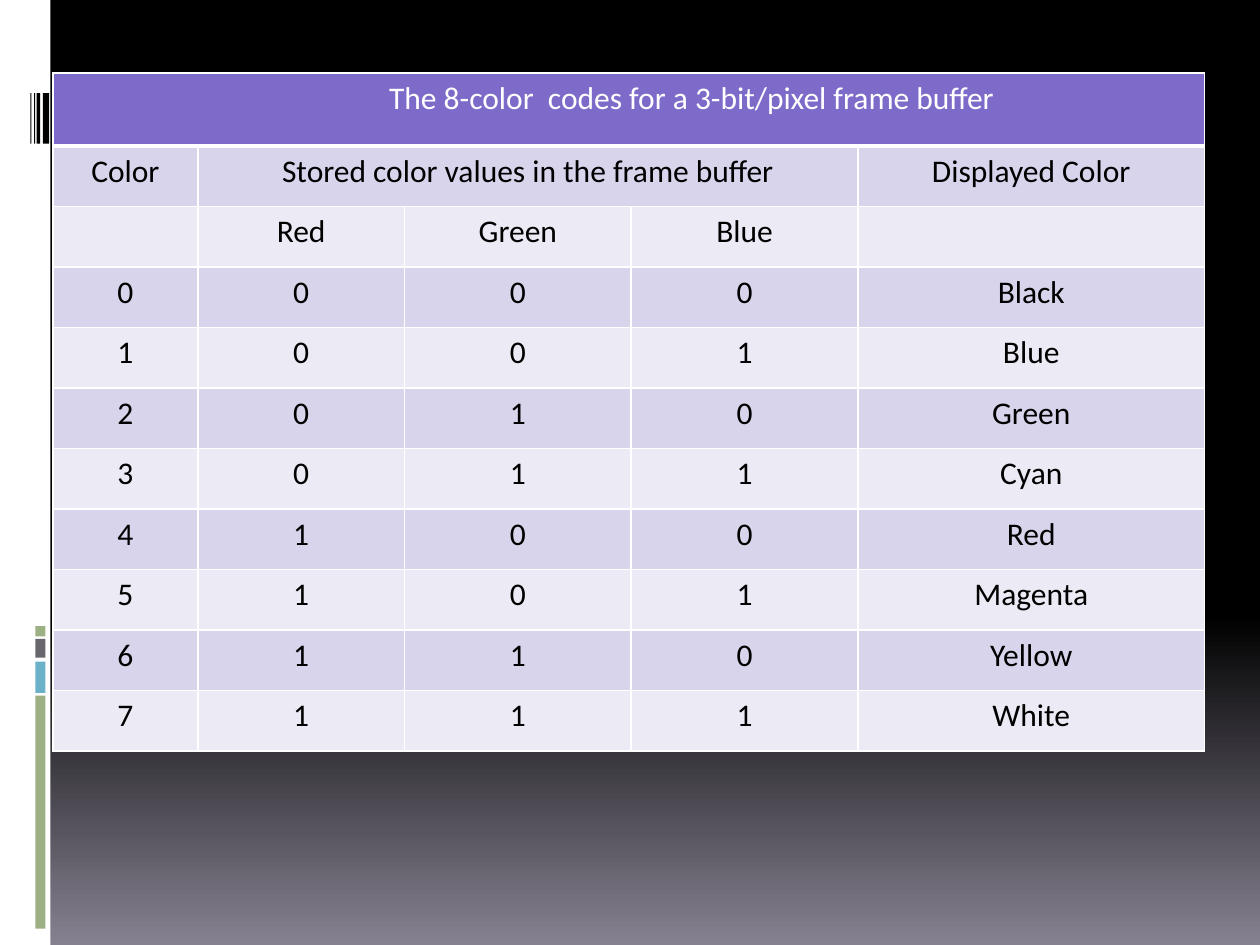
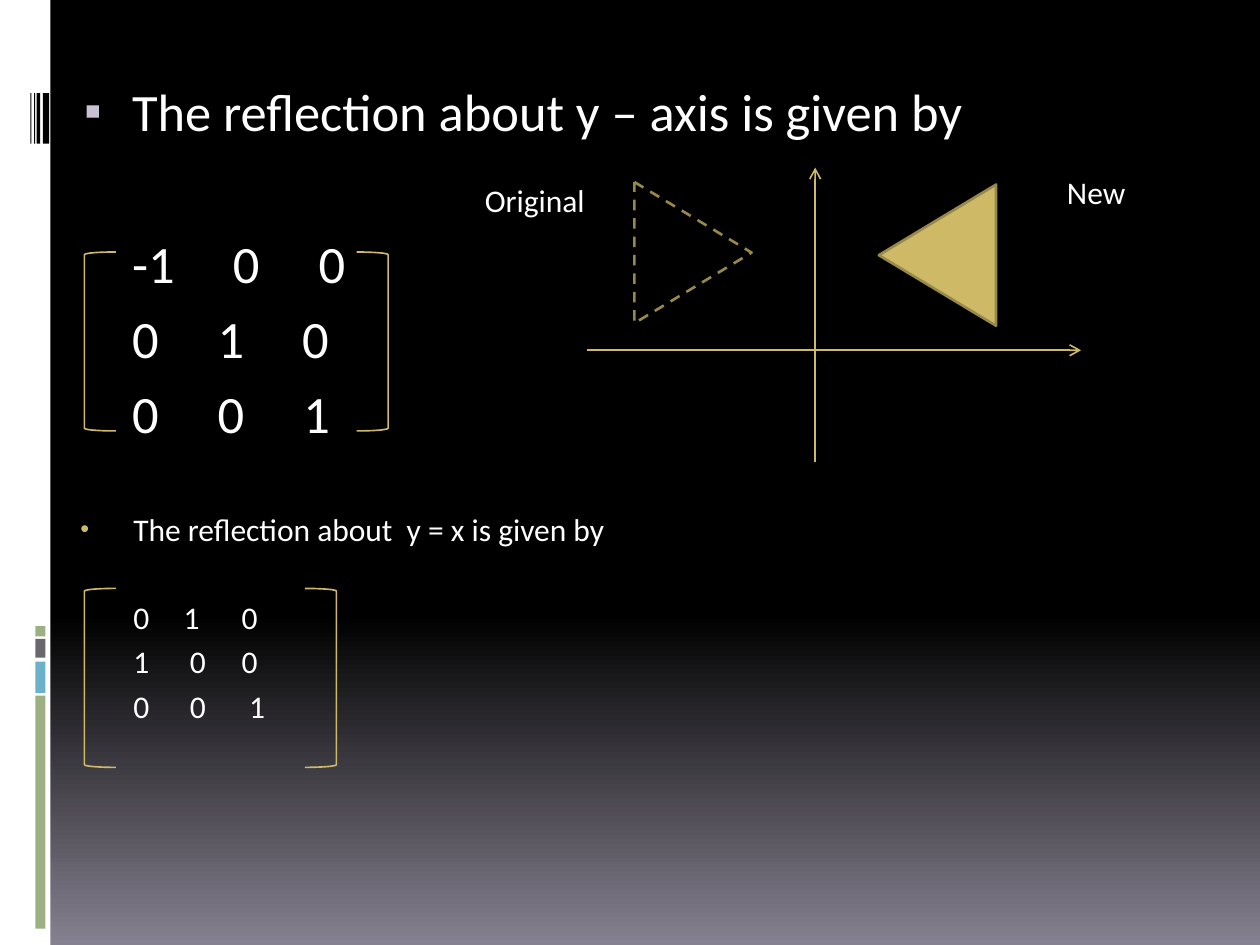
from lxml import etree
from pptx import Presentation
from pptx.dml.color import RGBColor
from pptx.enum.dml import MSO_LINE_DASH_STYLE as Dash
from pptx.enum.shapes import MSO_CONNECTOR, MSO_SHAPE as Shape
from pptx.enum.text import PP_ALIGN as Align
from pptx.oxml.ns import qn
from pptx.util import Inches, Pt

FONT = "Calibri"
COLORS = {
    "white": "FFFFFF", "black": "000000", "haze": "868190",
    "green": "9CB084", "blue": "6BB1C9", "gray": "69676D",
    "gold": "CEB966", "dark_gold": "98894B", "lilac": "C9C2D1",
    "header": "7E6BC9", "band_dark": "D8D4EB", "band_light": "ECEBF5",
}
SIDE_BLOCKS = [(4.97, 0.08, "green"), (5.07, 0.15, "gray"),
               (5.25, 0.25, "blue"), (5.52, 1.85, "green")]
BARCODE = [(0.24, 0.01), (0.27, 0.01), (0.29, 0.03), (0.34, 0.05)]

COLOR_NAMES = ["Black", "Blue", "Green", "Cyan", "Red", "Magenta", "Yellow", "White"]
COLUMN_WIDTHS = [1.15, 1.64, 1.8, 1.8, 2.75]
HEADER_HEIGHT, ROW_HEIGHT = 0.58, 0.48

Y_AXIS_MATRIX = [("-1 0 0", (0.45, 1.25, 1.93)),
                 ("0 1 0", (0.45, 1.13, 1.8)),
                 ("0 0 1", (0.45, 1.13, 1.81))]
DIAGONAL_MATRIX = [("0 1 0", (0.46, 0.86, 1.32)),
                   ("1 0 0", (0.46, 0.91, 1.32)),
                   ("0 0 1", (0.46, 0.91, 1.38))]


def rgb(name):
    return RGBColor.from_string(COLORS[name])


def add_xml(parent, tag, **attributes):
    return etree.SubElement(parent, qn(tag), attributes)


class Deck:
    def __init__(self):
        self.presentation = Presentation()
        self.presentation.slide_width = Inches(10)
        self.presentation.slide_height = Inches(7.5)
        self.slide = None

    def new_slide(self):
        self.slide = self.presentation.slides.add_slide(self.presentation.slide_layouts[6])
        fill = self.slide.background.fill
        fill.gradient()
        fill.gradient_angle = 270
        for stop, position, color in zip(fill.gradient_stops, (0.65, 1), ("black", "haze")):
            stop.position = position
            stop.color.rgb = rgb(color)
        self.shape(Shape.RECTANGLE, 0, 0, 0.4, 7.5, fill="white")
        for top, height, color in SIDE_BLOCKS:
            self.shape(Shape.RECTANGLE, 0.28, top, 0.08, height, fill=color)
        for left, width in BARCODE:
            self.shape(Shape.RECTANGLE, left, 0.74, width, 0.4, fill="black")

    def shape(self, kind, left, top, width, height, fill=None, line=None, weight=0.94):
        shape = self.slide.shapes.add_shape(
            kind, Inches(left), Inches(top), Inches(width), Inches(height))
        shape.shadow.inherit = False
        if fill:
            shape.fill.solid()
            shape.fill.fore_color.rgb = rgb(fill)
        else:
            shape.fill.background()
        if line:
            shape.line.color.rgb = rgb(line)
            shape.line.width = Pt(weight)
        else:
            shape.line.fill.background()
        return shape

    def arrow(self, x1, y1, x2, y2):
        connector = self.slide.shapes.add_connector(
            MSO_CONNECTOR.STRAIGHT, Inches(x1), Inches(y1), Inches(x2), Inches(y2))
        connector.line.color.rgb = rgb("gold")
        connector.line.width = Pt(0.94)
        properties = connector._element.spPr
        add_xml(properties.find(qn("a:ln")), "a:tailEnd", type="arrow")
        add_xml(properties, "a:effectLst")

    def style(self, paragraph, size=18, color="white"):
        font = paragraph.font
        font.name, font.size, font.bold = FONT, Pt(size), False
        font.color.rgb = rgb(color)

    def text_box(self, left, top, width, height):
        frame = self.slide.shapes.add_textbox(
            Inches(left), Inches(top), Inches(width), Inches(height)).text_frame
        frame.word_wrap = True
        return frame

    def label(self, text, left, top, width=1.13):
        paragraph = self.text_box(left, top, width, 0.32).paragraphs[0]
        paragraph.text = text
        self.style(paragraph)

    def bullet(self, paragraph, char, color, percent, margin, hanging):
        properties = paragraph._p.get_or_add_pPr()
        properties.set("marL", str(Inches(margin)))
        properties.set("indent", str(-Inches(hanging)))
        add_xml(add_xml(properties, "a:buClr"), "a:srgbClr", val=COLORS[color])
        add_xml(properties, "a:buSzPct", val=str(percent * 1000))
        add_xml(properties, "a:buFont", typeface="Arial")
        add_xml(properties, "a:buChar", char=char)

    def matrix_text(self, heading, matrix, top, height, size, gaps, bullet):
        frame = self.text_box(0.5, top, 9, height)
        paragraph = frame.paragraphs[0]
        paragraph.text = heading
        self.bullet(paragraph, *bullet)
        self.style(paragraph, size)
        for (values, stops), gap in zip(matrix, gaps):
            paragraph = frame.add_paragraph()
            paragraph.text = "".join("\t" + value for value in values.split())
            paragraph.space_before = Pt(gap)
            tabs = add_xml(paragraph._p.get_or_add_pPr(), "a:tabLst")
            for stop in stops:
                add_xml(tabs, "a:tab", pos=str(Inches(stop)), algn="l")
            self.style(paragraph, size)

    def brackets(self, top, right):
        self.shape(Shape.LEFT_BRACKET, 0.67, top, 0.25, 1.42, line="gold")
        self.shape(Shape.RIGHT_BRACKET, right, top, 0.25, 1.42, line="gold")

    def triangle(self, left, top, rotation, fill=None):
        shape = self.shape(Shape.FLOWCHART_EXTRACT, left, top, 1.12, 0.93,
                           fill=fill, line="dark_gold", weight=1.5)
        shape.rotation = rotation
        return shape

    def cell(self, cell, text, fill, color, bottom=1):
        properties = cell._tc.get_or_add_tcPr()
        for side in "LRTB":
            width = Pt(bottom if side == "B" else 1)
            line = add_xml(properties, f"a:ln{side}", w=str(width))
            add_xml(add_xml(line, "a:solidFill"), "a:srgbClr", val=COLORS["white"])
        cell.fill.solid()
        cell.fill.fore_color.rgb = rgb(fill)
        paragraph = cell.text_frame.paragraphs[0]
        paragraph.text = text
        paragraph.alignment = Align.CENTER
        self.style(paragraph, color=color)

    def table(self, rows, left, top):
        height = HEADER_HEIGHT + ROW_HEIGHT * (len(rows) - 1)
        table = self.slide.shapes.add_table(
            len(rows), len(COLUMN_WIDTHS), Inches(left), Inches(top),
            Inches(sum(COLUMN_WIDTHS)), Inches(height)).table
        for column, width in zip(table.columns, COLUMN_WIDTHS):
            column.width = Inches(width)
        for i, values in enumerate(rows):
            table.rows[i].height = Inches(ROW_HEIGHT if i else HEADER_HEIGHT)
            fill = ("band_dark" if i % 2 else "band_light") if i else "header"
            for j, value in enumerate(values):
                self.cell(table.cell(i, j), value, fill,
                          "black" if i else "white", 1 if i else 3)
        return table


def color_codes(deck):
    deck.new_slide()
    rows = [["The 8-color  codes for a 3-bit/pixel frame buffer", "", "", "", ""],
            ["Color", "Stored color values in the frame buffer", "", "", "Displayed Color"],
            ["", "Red", "Green", "Blue", ""]]
    rows += [[str(code), *f"{code:03b}", name] for code, name in enumerate(COLOR_NAMES)]
    table = deck.table(rows, 0.42, 0.58)
    table.cell(0, 0).merge(table.cell(0, 4))
    table.cell(1, 1).merge(table.cell(1, 3))
    heading = table.cell(0, 0).text_frame.paragraphs[0]
    heading._p.get_or_add_pPr().set("marL", str(Inches(1)))


def reflections(deck):
    deck.new_slide()
    deck.matrix_text("The reflection about y – axis is given by", Y_AXIS_MATRIX,
                     0.58, 6.08, 30, (50.6, 7, 7), ("▪", "lilac", 95, 0.45, 0.38))
    deck.arrow(4.66, 2.78, 8.58, 2.78)
    deck.arrow(6.47, 3.67, 6.47, 1.33)
    deck.triangle(6.88, 1.56, 270, fill="gold")
    deck.triangle(4.94, 1.54, 90).line.dash_style = Dash.DASH
    deck.label("Original", 3.75, 1.39)
    deck.label("New", 8.37, 1.32, 0.96)
    deck.brackets(2, 2.83)
    deck.matrix_text("The reflection about  y = x is given by", DIAGONAL_MATRIX,
                     4, 1.86, 18, (28.8, 3.6, 3.6), ("•", "gold", 80, 0.46, 0.42))
    deck.brackets(4.67, 2.42)


def main():
    deck = Deck()
    color_codes(deck)
    reflections(deck)
    deck.presentation.save("out.pptx")


if __name__ == "__main__":
    main()
